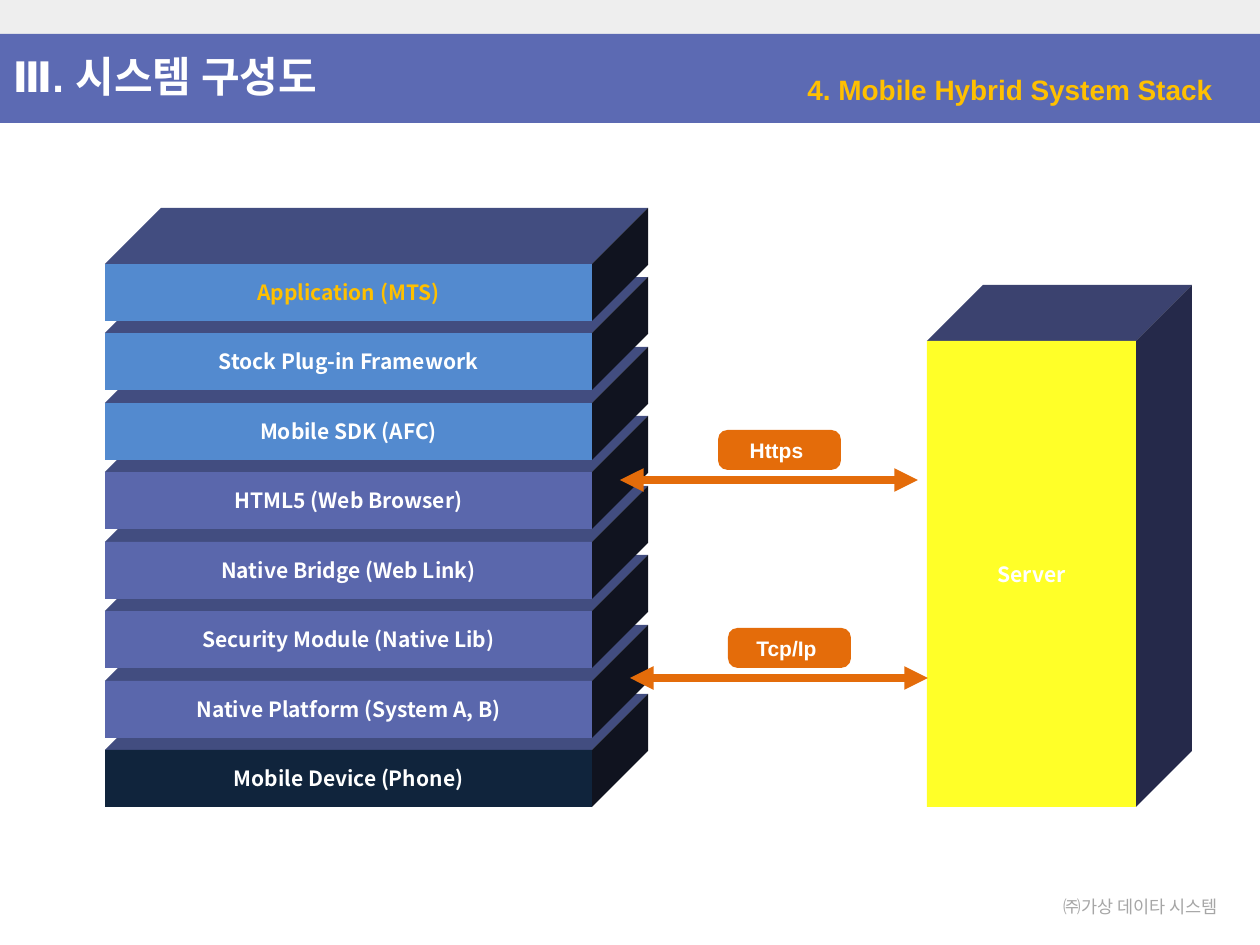
from pptx import Presentation
from pptx.dml.color import RGBColor
from pptx.enum.shapes import MSO_CONNECTOR, MSO_SHAPE
from pptx.enum.text import MSO_ANCHOR, PP_ALIGN
from pptx.oxml.ns import qn
from pptx.util import Pt
from lxml import etree

PX = 914400 // 126  # EMU in one px
RECT, ROUNDED = MSO_SHAPE.RECTANGLE, MSO_SHAPE.ROUNDED_RECTANGLE
STRAIGHT = MSO_CONNECTOR.STRAIGHT
LEFT, CENTER, RIGHT = PP_ALIGN.LEFT, PP_ALIGN.CENTER, PP_ALIGN.RIGHT
TOP, MIDDLE = MSO_ANCHOR.TOP, MSO_ANCHOR.MIDDLE

WHITE = RGBColor(0xFF, 0xFF, 0xFF)
PALE_GRAY = RGBColor(0xEE, 0xEE, 0xEE)
GRAY = RGBColor(0xA6, 0xA6, 0xA6)
GOLD = RGBColor(0xFF, 0xC0, 0x00)
ORANGE = RGBColor(0xE4, 0x6C, 0x0A)
BAND = RGBColor(0x5C, 0x6A, 0xB3)
INDIGO = RGBColor(0x5A, 0x67, 0xAC)
BLUE = RGBColor(0x53, 0x8A, 0xCF)
NAVY = RGBColor(0x10, 0x24, 0x3C)
YELLOW = RGBColor(0xFF, 0xFF, 0x28)
LAYER_TOP = RGBColor(0x42, 0x4D, 0x80)
LAYER_SIDE = RGBColor(0x10, 0x13, 0x1F)
SERVER_TOP = RGBColor(0x3B, 0x42, 0x6F)
SERVER_SIDE = RGBColor(0x25, 0x29, 0x4A)

LATIN, KOREAN = "Arial", "Noto Sans CJK KR"
DEPTH = 56

LAYERS = [
    ("Application (MTS)", BLUE, GOLD),
    ("Stock Plug-in Framework", BLUE, WHITE),
    ("Mobile SDK (AFC)", BLUE, WHITE),
    ("HTML5 (Web Browser)", INDIGO, WHITE),
    ("Native Bridge (Web Link)", INDIGO, WHITE),
    ("Security Module (Native Lib)", INDIGO, WHITE),
    ("Native Platform (System A, B)", INDIGO, WHITE),
    ("Mobile Device (Phone)", NAVY, WHITE),
]


def emu(*lengths):
    return [length * PX for length in lengths]


def paint(shape, color):
    shape.shadow.inherit = False
    shape.fill.solid()
    shape.fill.fore_color.rgb = color
    shape.line.fill.background()


def write(shape, text, size, color, font=LATIN, bold=True, align=CENTER,
          anchor=MIDDLE, wrap=True):
    frame = shape.text_frame
    frame.text = text
    frame.word_wrap = wrap
    frame.vertical_anchor = anchor
    para = frame.paragraphs[0]
    para.alignment = align
    span = para.runs[0]
    span.font.size = Pt(size)
    span.font.bold = bold
    span.font.name = font
    span.font.color.rgb = color
    east_asian = etree.SubElement(span.font._element, qn("a:ea"))
    east_asian.set("typeface", KOREAN)


def add_block(page, kind, left, top, width, height, color):
    block = page.shapes.add_shape(kind, *emu(left, top, width, height))
    paint(block, color)
    return block


def add_face(page, points, color):
    builder = page.shapes.build_freeform(*points[0], scale=PX)
    builder.add_line_segments(points[1:], close=True)
    paint(builder.convert_to_shape(), color)


def add_solid(page, left, top, width, height, label, colors, text_color):
    """Draw a box seen obliquely: top face, right face, labelled front."""
    front_color, top_color, side_color = colors
    right, bottom = left + width, top + height
    back_right, back_top = right + DEPTH, top - DEPTH
    add_face(page, [(left, top), (left + DEPTH, back_top),
                    (back_right, back_top), (right, top)], top_color)
    add_face(page, [(right, top), (back_right, back_top),
                    (back_right, bottom - DEPTH), (right, bottom)], side_color)
    front = add_block(page, RECT, left, top, width, height, front_color)
    write(front, label, 12, text_color, KOREAN)


def add_header(page, width):
    add_block(page, RECT, 0, 0, width, 34, PALE_GRAY)
    add_block(page, RECT, 0, 34, width, 89, BAND)
    title = page.shapes.title
    title.left, title.top, title.width, title.height = emu(0, 44, 483, 63)
    write(title, "Ⅲ. 시스템 구성도", 24, WHITE, align=LEFT, anchor=TOP)
    # Bring the title in front of the band
    page.shapes._spTree.append(title._element)
    subtitle = page.shapes.add_textbox(*emu(758, 66, 467, 47))
    write(subtitle, "4. Mobile Hybrid System Stack", 16, GOLD, align=RIGHT,
          anchor=TOP)


def add_stack(page, left, top, width, height):
    layer_height = 57
    pitch = (height - layer_height) / (len(LAYERS) - 1)
    # Lowest layer first, so that each one covers the layer below
    for index, (label, color, text_color) in reversed(list(enumerate(LAYERS))):
        add_solid(page, left, top + round(index * pitch), width, layer_height,
                  label, (color, LAYER_TOP, LAYER_SIDE), text_color)


def add_link(page, left, top, width, label):
    """Draw a protocol tag above a two-headed arrow."""
    tag = add_block(page, ROUNDED, left + 98, top, 123, 40, ORANGE)
    tag.adjustments[0] = 0.24
    write(tag, label, 12, WHITE)
    frame = tag.text_frame
    frame.margin_left = frame.margin_top = frame.margin_bottom = 0
    frame.margin_right = 6 * PX

    arrow_y = top + 50
    arrow = page.shapes.add_connector(
        STRAIGHT, *emu(left, arrow_y, left + width, arrow_y))
    arrow.line.color.rgb = ORANGE
    arrow.line.width = Pt(4.5)
    line = arrow.line._get_or_add_ln()
    for end in ("a:headEnd", "a:tailEnd"):
        etree.SubElement(line, qn(end)).set("type", "triangle")
    etree.SubElement(arrow._element.spPr, qn("a:effectLst"))


def add_footer(page, left, top, width, height):
    footer = page.shapes.add_textbox(*emu(left, top, width, height))
    write(footer, "㈜가상 데이타 시스템", 10, GRAY, KOREAN, bold=False,
          wrap=False)


def main():
    deck = Presentation()
    deck.slide_width, deck.slide_height = emu(1260, 945)
    page = deck.slides.add_slide(deck.slide_layouts[5])
    add_header(page, 1260)
    add_stack(page, 105, 264, 487, 543)
    add_solid(page, 927, 341, 209, 466, "Server",
              (YELLOW, SERVER_TOP, SERVER_SIDE), WHITE)
    add_link(page, 620, 430, 298, "Https")
    add_link(page, 630, 628, 298, "Tcp/Ip")
    add_footer(page, 1039, 889, 203, 34)
    deck.save("out.pptx")


if __name__ == "__main__":
    main()
